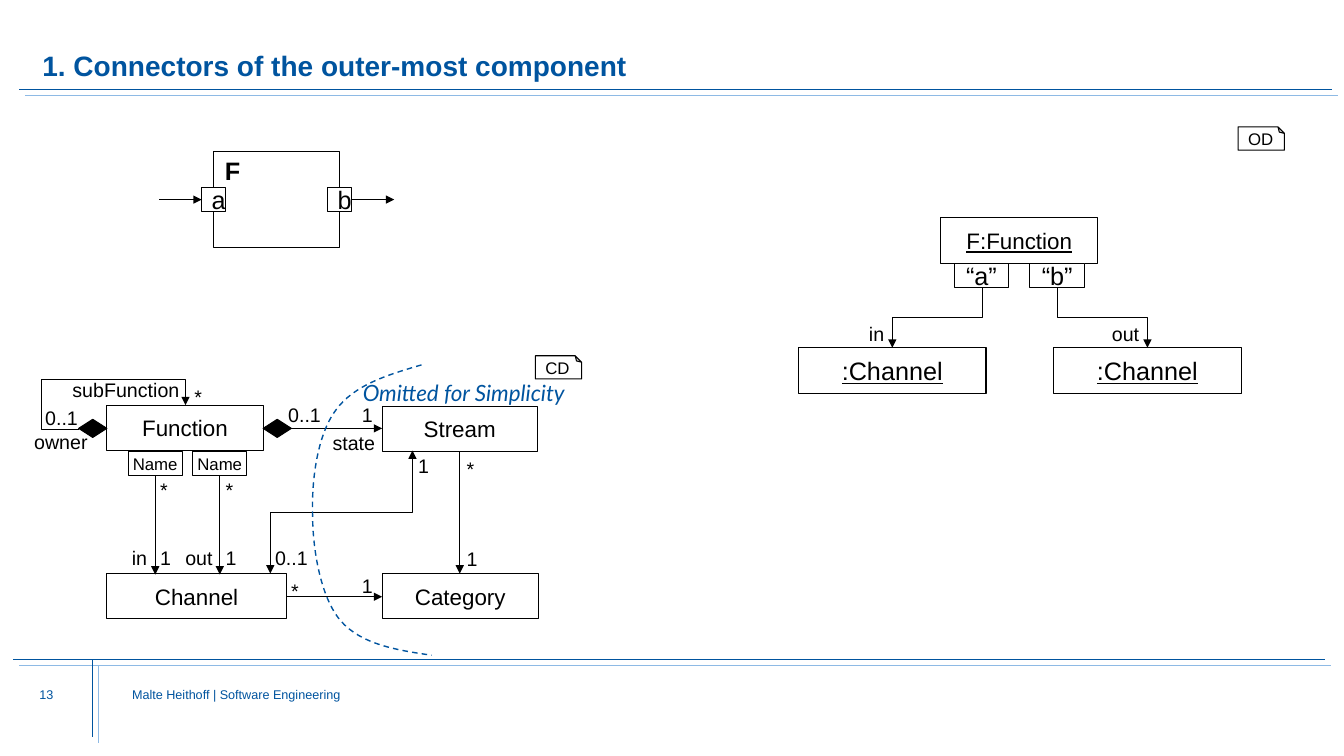
from dataclasses import dataclass
from typing import Any

from lxml.etree import SubElement
from pptx import Presentation
from pptx.dml.color import RGBColor
from pptx.enum.dml import MSO_LINE_DASH_STYLE as Dash
from pptx.enum.shapes import MSO_CONNECTOR_TYPE as Link, MSO_SHAPE as Preset
from pptx.enum.text import MSO_ANCHOR as Anchor, MSO_AUTO_SIZE as Fit, PP_ALIGN as Align
from pptx.oxml.ns import qn
from pptx.util import Inches, Pt

CELL = Inches(0.1)  # one column or row of the drawing grid


@dataclass(frozen=True)
class Theme:
    black: str = "000000"
    white: str = "FFFFFF"
    blue: str = "00549F"
    pale: str = "8EBAE5"
    font: str = "Arial"
    accent_font: str = "Lato"
    title: int = 20
    large: int = 18
    node: int = 16
    label: int = 14
    small: int = 12
    footer: int = 9
    line: float = 0.75
    thin: float = 0.5


THEME = Theme()


def write(shape, text, size, color=THEME.black, font=THEME.font, align=Align.LEFT,
          anchor=Anchor.TOP, wrap=True, margins=None, spacing=None, **style):
    frame = shape.text_frame
    frame.auto_size, frame.word_wrap, frame.vertical_anchor = Fit.NONE, wrap, anchor
    if margins is not None:
        frame.margin_left, frame.margin_top, frame.margin_right, frame.margin_bottom = (
            Inches(margin) for margin in margins)
    para = frame.paragraphs[0]
    para.alignment = align
    if spacing:
        para.line_spacing = spacing
    span = para.add_run()
    span.text = text
    span.font.size, span.font.name = Pt(size), font
    span.font.color.rgb = RGBColor.from_string(color)
    for name, value in style.items():
        setattr(span.font, name, value)


def stroke(shape, color=THEME.black, width=THEME.line):
    shape.line.color.rgb = RGBColor.from_string(color)
    shape.line.width = Pt(width)


def set_guides(shape, **guides):
    """Write the adjustment values of a preset outline, given as shares."""
    values = shape._element.spPr.find(qn("a:prstGeom")).find(qn("a:avLst"))
    for name, share in guides.items():
        SubElement(values, qn("a:gd"), name=name, fmla=f"val {round(share * 100000)}")


@dataclass
class Panel:
    """A region of the page whose parts are placed in grid cells from its corner."""
    shapes: Any
    left: float
    top: float

    def point(self, x, y):
        return round((self.left + x) * CELL), round((self.top + y) * CELL)

    def place(self, x, y, width, height):
        return *self.point(x, y), round(width * CELL), round(height * CELL)

    def node(self, x, y, width, height, fill=THEME.white, preset=Preset.RECTANGLE,
             weight=THEME.line):
        shape = self.shapes.add_shape(preset, *self.place(x, y, width, height))
        shape.shadow.inherit = False
        shape.fill.solid()
        shape.fill.fore_color.rgb = RGBColor.from_string(fill)
        stroke(shape, width=weight)
        return shape

    def named(self, text, x, y, width, height, size=THEME.node, wrap=False,
              weight=THEME.line, **style):
        write(self.node(x, y, width, height, weight=weight), text, size,
              align=Align.CENTER, anchor=Anchor.MIDDLE, wrap=wrap, **style)

    def port(self, text, x, y, width):
        self.named(text, x, y, width, 2.4, THEME.large, wrap=True, weight=THEME.thin)

    def label(self, text, x, y, width=5.5, size=THEME.label, **style):
        box = self.shapes.add_textbox(*self.place(x, y, width, 3.4))
        write(box, text, size, **{"margins": (0.1, 0.05, 0, 0.05), **style})

    def note(self, text, x, y):
        shape = self.node(x, y, 4.6, 2.3, preset=Preset.FOLDED_CORNER)
        set_guides(shape, adj=0.28)
        write(shape, text, THEME.small, anchor=Anchor.MIDDLE, wrap=False, spacing=0.7)
        # The fold sits at the top, so the text is turned back upright
        shape._element.spPr.find(qn("a:xfrm")).set("flipV", "1")
        shape.text_frame._txBody.find(qn("a:bodyPr")).set("rot", "10800000")

    def line(self, start, end, kind=Link.STRAIGHT, color=THEME.black,
             width=THEME.line, heads=("tailEnd",)):
        link = self.shapes.add_connector(kind, *self.point(*start), *self.point(*end))
        stroke(link, color, width)
        for head in heads:
            SubElement(link.line._get_or_add_ln(), qn("a:" + head), type="triangle")
        SubElement(link._element.spPr, qn("a:effectLst"))
        return link

    def elbow(self, start, end, heads=("tailEnd",)):
        """A bent arrow that leaves and arrives vertically: a quarter turn."""
        (x1, y1), (x2, y2) = start, end
        middle_x, middle_y = (x1 + x2) / 2, (y1 + y2) / 2
        half_w, half_h = abs(y2 - y1) / 2, abs(x2 - x1) / 2
        link = self.line((middle_x - half_w, middle_y - half_h),
                         (middle_x + half_w, middle_y + half_h), Link.ELBOW, heads=heads)
        frame = link._element.spPr.find(qn("a:xfrm"))
        frame.set("rot", "5400000")
        if y2 < y1:
            frame.set("flipH", "1")
        if x2 > x1:
            frame.set("flipV", "1")

    def loop(self, start, end, **bends):
        link = self.line(start, end, Link.ELBOW)
        link._element.spPr.find(qn("a:prstGeom")).set("prst", "bentConnector4")
        set_guides(link, **bends)

    def curve(self, points):
        """A dashed curve; after the start, every three points make one Bézier piece."""
        start, *rest = [self.point(*point) for point in points]
        builder = self.shapes.build_freeform(*start)
        builder.add_line_segments(rest, close=False)
        shape = builder.convert_to_shape()
        shape.shadow.inherit = False
        shape.fill.background()
        stroke(shape, THEME.blue, 1)
        shape.line.dash_style = Dash.DASH
        outline = next(shape._element.iter(qn("a:path")))
        steps = outline.findall(qn("a:lnTo"))
        for first in range(0, len(steps), 3):
            piece = SubElement(outline, qn("a:cubicBezTo"))
            for step in steps[first:first + 3]:
                piece.append(step[0])
                outline.remove(step)


def page_frame(page):
    panel = Panel(page.shapes, 0, 0)
    # Double rules; the pale one is shifted right and down
    for start, end in (((1.9, 8.9), (132.1, 8.9)), ((1.3, 65.4), (131.4, 65.4)),
                       ((9.2, 65.4), (9.2, 73.1))):
        for color, shift in ((THEME.blue, 0), (THEME.pale, 0.6)):
            panel.line(*((x + shift, y + shift) for x, y in (start, end)),
                       color=color, width=THEME.thin, heads=())
    for text, x, width in (("13", 3.9, 8), ("Malte Heithoff | Software Engineering", 13.1, 76.6)):
        panel.label(text, x, 68.1, width, THEME.footer, color=THEME.blue, margins=(0,) * 4)
    title = page.shapes.title
    title.left, title.top, title.width, title.height = panel.place(4.2, 2.3, 125.6, 5.9)
    write(title, "1. Connectors of the outer-most component", THEME.title, THEME.blue,
          anchor=Anchor.BOTTOM, margins=(0,) * 4, spacing=0.9, bold=True)


def component_diagram(panel):
    write(panel.node(6.2, 0, 12.5, 9.6), "F", THEME.large,
          margins=(0.11, 0.04, 0.04, 0.04), bold=True)
    for text, x, arrow in (("a", 5, 0.8), ("b", 17.5, 19.9)):
        panel.port(text, x, 3.6, 2.4)
        panel.line((arrow, 4.8), (arrow + 4.2, 4.8))


def object_diagram(panel):
    panel.named("F:Function", 14.3, 9.6, 15.6, 4.5, underline=True)
    for port, port_x, width, role, role_x, channel_x, start, end in (
            ("“a”", 15.7, 5.3, "in", 6.2, 0.2, 18.4, 9.5),
            ("“b”", 23.1, 5.5, "out", 30.3, 25.5, 25.9, 34.8)):
        panel.port(port, port_x, 14.1, width)
        panel.named(":Channel", channel_x, 22.5, 18.6, 4.5, THEME.large, underline=True)
        panel.label(role, role_x, 19.4)
        panel.elbow((start, 16.5), (end, 22.5))
    panel.note("OD", 43.8, 0.6)


def class_diagram(panel):
    # Classes, qualifiers and composition diamonds
    for text, x, y, width in (("Function", 8.6, 5.2, 15.5), ("Stream", 35.9, 5.3, 15.4),
                              ("Channel", 8.6, 21.9, 17.8), ("Category", 35.9, 21.9, 15.5)):
        panel.named(text, x, y, width, 4.5)
    for x in (10.7, 17.1):
        panel.named("Name", x, 9.8, 5.4, 2.4, THEME.small)
        panel.line((x + 2.7, 12.2), (x + 2.7, 22))
    for x in (5.8, 24.1):
        panel.node(x, 6.6, 2.8, 1.8, THEME.black, Preset.DIAMOND)
    # Associations
    panel.line((43.6, 9.8), (43.6, 21.9))
    panel.line((26.9, 7.5), (35.9, 7.5))
    panel.line((26.4, 24.2), (35.9, 24.2))
    panel.elbow((24.8, 21.9), (38.9, 9.7), heads=("headEnd", "tailEnd"))
    panel.loop((5.8, 7.6), (16.4, 5.2), adj1=-0.35, adj2=2.07)
    # Roles and multiplicities
    for text, *spots in (
            ("*", (16.3, 2.7), (19.4, 11.9), (12.9, 11.9), (43.3, 9.8), (25.9, 21.9)),
            ("1", (32.9, 4.5), (19.4, 18.7), (12.9, 18.7), (38.5, 9.5), (32.9, 21.4), (43.3, 18.8)),
            ("0..1", (25.6, 4.5), (1.5, 4.8), (24.3, 18.7)),
            ("state", (30, 7.3)), ("owner", (0.4, 7.2)),
            ("in", (10.1, 18.7)), ("out", (15.4, 18.7))):
        for spot in spots:
            panel.label(text, *spot, width=7)
    panel.label("subFunction", 4.2, 2, 12.7)
    # Omitted part
    panel.curve(((39.8, 1.2), (36.4, 2.2), (33.1, 3.2), (31.3, 5.7), (29.5, 8.1),
                 (28.9, 12.5), (29, 16), (29, 19.5), (29.8, 24.3), (31.8, 26.6),
                 (33.8, 28.9), (37.3, 29.5), (40.8, 30)))
    panel.label("Omitted for Simplicity", 33, 2.1, 27.7, THEME.node, color=THEME.blue,
                font=THEME.accent_font, italic=True)
    panel.note("CD", 51.1, 0.3)


def main():
    deck = Presentation()
    deck.slide_width, deck.slide_height = Inches(13.33), Inches(7.5)
    page = deck.slides.add_slide(deck.slide_layouts[5])
    page_frame(page)
    component_diagram(Panel(page.shapes, 15, 15))
    object_diagram(Panel(page.shapes, 79, 12))
    class_diagram(Panel(page.shapes, 2, 35))
    deck.save("out.pptx")


if __name__ == "__main__":
    main()
